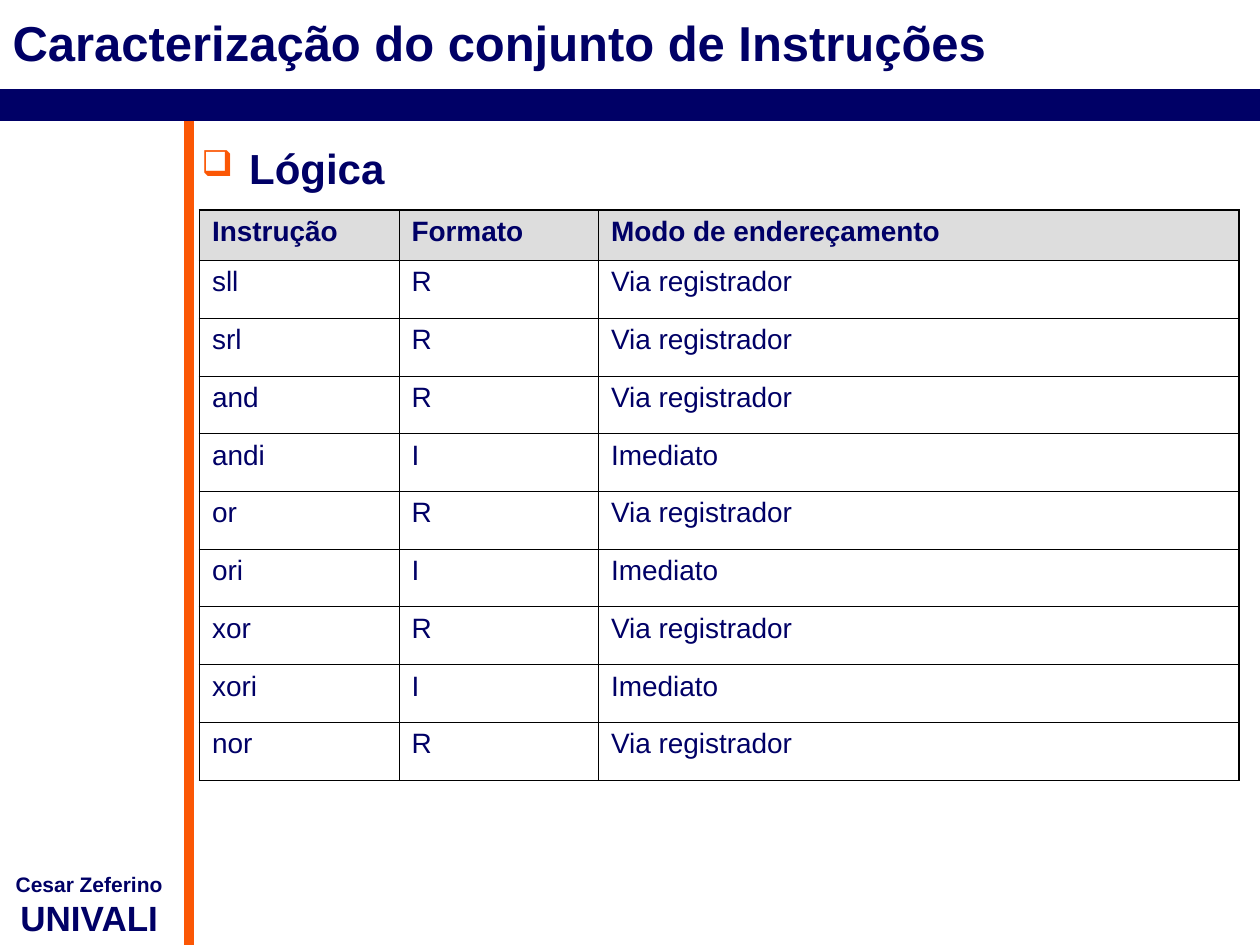
"""Build the slide on the logic instructions, their formats and addressing modes."""
from dataclasses import dataclass
from typing import NamedTuple

from lxml import etree
from pptx import Presentation, util as u
from pptx.dml.color import RGBColor
from pptx.enum import shapes, text
from pptx.oxml import parse_xml
from pptx.oxml.ns import nsdecls, qn


@dataclass(frozen=True)
class Theme:
    font: str = "Arial"
    navy: str = "000066"
    orange: str = "FB5705"
    header_fill: str = "DDDDDD"
    border: str = "000000"
    title: int = 28
    topic: int = 24
    table: int = 16
    author: int = 12
    school: int = 20
    rail: float = 6
    bar: float = 18
    outer: float = 1.08
    inner: float = 0.45


class Area(NamedTuple):
    col: float
    row: float
    cols: float
    rows: float


class Rule(NamedTuple):
    start: tuple[float, float]
    end: tuple[float, float]
    color: str
    weight: float


class Instruction(NamedTuple):
    name: str
    layout: str
    addressing: str


THEME = Theme()
COLS, ROWS = 120, 90
WIDTH, HEIGHT = u.Inches(10), u.Inches(7.5)
RULES = (
    Rule((18, 11), (18, ROWS), THEME.orange, THEME.rail),
    Rule((0, 10), (COLS, 10), THEME.navy, THEME.bar),
)
TITLE_AREA = Area(0, 0, COLS, 8)
TOPIC_AREA = Area(18, 13, 102, 75)
AUTHOR_AREA = Area(0, 82.4, 17, 7.6)
TABLE_AREA = Area(19, 20, 99, 54.3)
TABLE_COLS = (19, 19, 61)
HEADER_ROWS, BODY_ROWS = 4.8, 5.5
HEADER = Instruction("Instrução", "Formato", "Modo de endereçamento")
MODES = {"R": "Via registrador", "I": "Imediato"}
FORMATS = {"sll": "R", "srl": "R", "and": "R", "andi": "I", "or": "R",
           "ori": "I", "xor": "R", "xori": "I", "nor": "R"}
INSTRUCTIONS = [Instruction(name, kind, MODES[kind]) for name, kind in FORMATS.items()]


def across(cols: float) -> int:
    return round(WIDTH * cols / COLS)


def down(rows: float) -> int:
    return round(HEIGHT * rows / ROWS)


def bounds(area: Area) -> tuple[int, int, int, int]:
    return across(area.col), down(area.row), across(area.cols), down(area.rows)


def write(paragraph, words: str, size: float, bold: bool = True,
          align=text.PP_ALIGN.LEFT) -> None:
    paragraph.text = words
    paragraph.alignment = align
    font = paragraph.font
    font.name, font.size, font.bold = THEME.font, u.Pt(size), bold
    font.color.rgb = RGBColor.from_string(THEME.navy)


def draw_rule(slide, rule: Rule) -> None:
    (x1, y1), (x2, y2) = rule.start, rule.end
    line = slide.shapes.add_connector(
        shapes.MSO_CONNECTOR.STRAIGHT, across(x1), down(y1), across(x2), down(y2))
    line.line.color.rgb = RGBColor.from_string(rule.color)
    line.line.width = u.Pt(rule.weight)
    etree.SubElement(line._element.spPr, qn("a:effectLst"))


def draw_title(slide, words: str) -> None:
    title = slide.shapes.title
    title.left, title.top, title.width, title.height = bounds(TITLE_AREA)
    frame = title.text_frame
    frame.auto_size = text.MSO_AUTO_SIZE.NONE
    frame.vertical_anchor = text.MSO_ANCHOR.MIDDLE
    write(frame.paragraphs[0], words, THEME.title)


def add_frame(slide, area: Area):
    frame = slide.shapes.add_textbox(*bounds(area)).text_frame
    frame.word_wrap = True
    return frame


def draw_author(slide) -> None:
    frame = add_frame(slide, AUTHOR_AREA)
    frame.margin_left = frame.margin_right = 0
    write(frame.paragraphs[0], "Cesar Zeferino", THEME.author, align=text.PP_ALIGN.CENTER)
    write(frame.add_paragraph(), "UNIVALI", THEME.school, align=text.PP_ALIGN.CENTER)


def draw_topic(slide, words: str) -> None:
    paragraph = add_frame(slide, TOPIC_AREA).paragraphs[0]
    props = paragraph._p.get_or_add_pPr()
    indent = u.Inches(0.38)
    props.set("marL", str(indent))
    props.set("indent", str(-indent))
    for bullet in (
        f'<a:buClr {nsdecls("a")}><a:srgbClr val="{THEME.orange}"/></a:buClr>',
        f'<a:buSzPct {nsdecls("a")} val="85000"/>',
        f'<a:buChar {nsdecls("a")} char="❑"/>',
    ):
        props.append(parse_xml(bullet))
    write(paragraph, words, THEME.topic)


def set_borders(cell, weights: dict[str, float]) -> None:
    props = cell._tc.get_or_add_tcPr()
    for place, (side, weight) in enumerate(weights.items()):
        props.insert(place, parse_xml(
            f'<a:ln{side} {nsdecls("a")} w="{u.Pt(weight)}"><a:solidFill>'
            f'<a:srgbClr val="{THEME.border}"/></a:solidFill></a:ln{side}>'))


def draw_table(slide, records: list[Instruction]) -> None:
    table = slide.shapes.add_table(
        len(records), len(TABLE_COLS), *bounds(TABLE_AREA)).table
    table.first_row = table.horz_banding = False
    for column, cols in zip(table.columns, TABLE_COLS):
        column.width = across(cols)
    last = len(TABLE_COLS) - 1
    for r, record in enumerate(records):
        is_header = r == 0
        table.rows[r].height = down(HEADER_ROWS if is_header else BODY_ROWS)
        for c, words in enumerate(record):
            cell = table.cell(r, c)
            write(cell.text_frame.paragraphs[0], words, THEME.table, bold=is_header)
            if is_header:
                cell.fill.solid()
                cell.fill.fore_color.rgb = RGBColor.from_string(THEME.header_fill)
            else:
                cell.fill.background()
            edges = {"L": c == 0, "R": c == last, "T": is_header, "B": False}
            set_borders(cell, {side: THEME.outer if outer else THEME.inner
                               for side, outer in edges.items()})


def main() -> None:
    deck = Presentation()
    deck.slide_width, deck.slide_height = WIDTH, HEIGHT
    slide = deck.slides.add_slide(deck.slide_layouts.get_by_name("Title Only"))
    for rule in RULES:
        draw_rule(slide, rule)
    draw_author(slide)
    draw_title(slide, "Caracterização do conjunto de Instruções")
    draw_topic(slide, "Lógica")
    draw_table(slide, [HEADER, *INSTRUCTIONS])
    deck.save("out.pptx")


if __name__ == "__main__":
    main()
